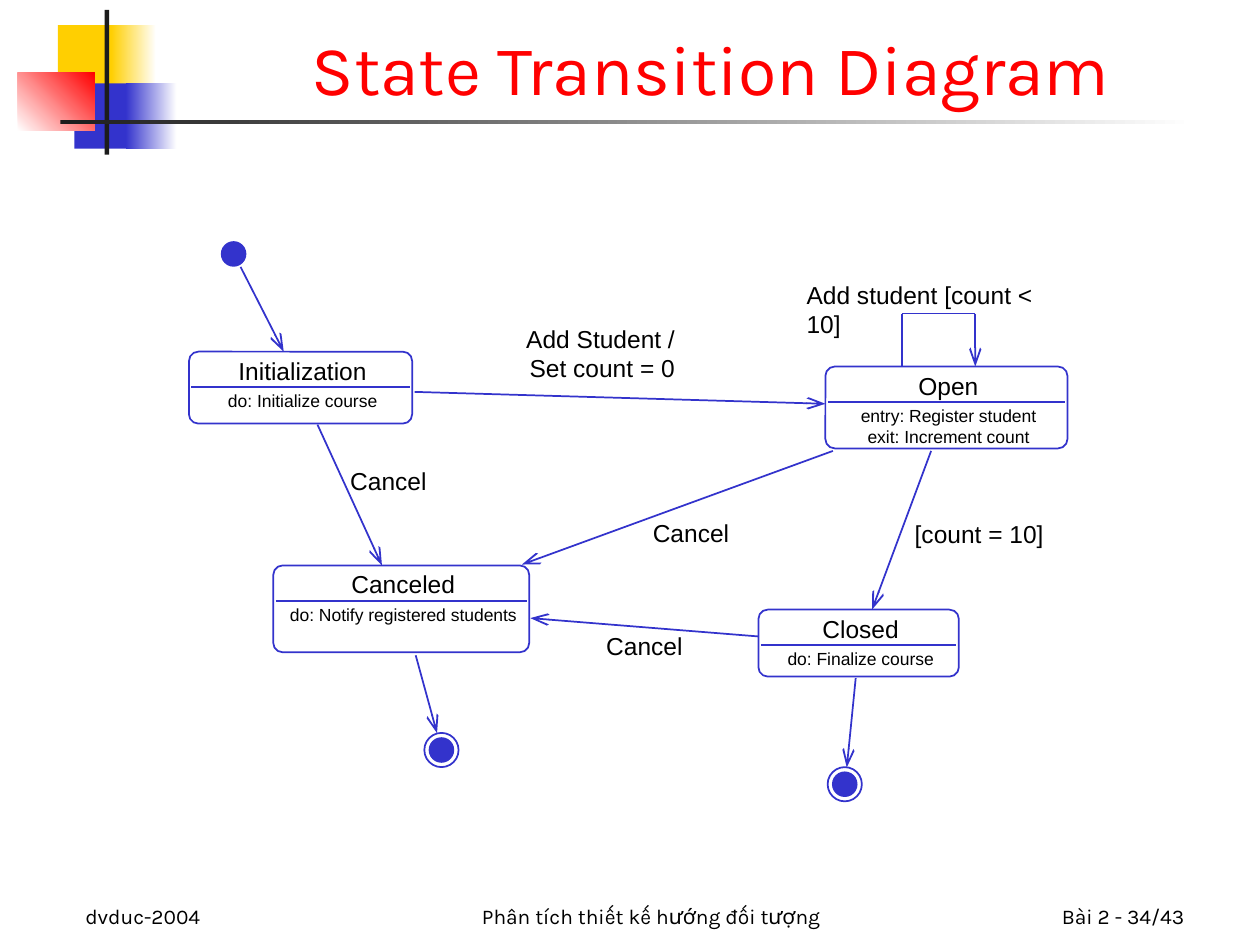
from dataclasses import dataclass

from lxml import etree
from pptx import Presentation
from pptx.dml.color import RGBColor
from pptx.enum.shapes import MSO_CONNECTOR, MSO_SHAPE
from pptx.enum.text import MSO_ANCHOR, MSO_AUTO_SIZE, PP_ALIGN
from pptx.oxml.ns import qn
from pptx.util import Cm, Pt

RECTANGLE = MSO_SHAPE.RECTANGLE
ROUNDED = MSO_SHAPE.ROUNDED_RECTANGLE
OVAL = MSO_SHAPE.OVAL
STRAIGHT = MSO_CONNECTOR.STRAIGHT
LEFT, CENTER, RIGHT = PP_ALIGN.LEFT, PP_ALIGN.CENTER, PP_ALIGN.RIGHT
TOP, BOTTOM = MSO_ANCHOR.TOP, MSO_ANCHOR.BOTTOM
NO_AUTOSIZE = MSO_AUTO_SIZE.NONE
TITLE_ONLY = 5


@dataclass(frozen=True)
class Theme:
    text: RGBColor = RGBColor(0, 0, 0)
    title: RGBColor = RGBColor(0xFF, 0, 0)
    white: RGBColor = RGBColor(0xFF, 0xFF, 0xFF)
    yellow: RGBColor = RGBColor(0xFF, 0xCF, 0x01)
    blue: RGBColor = RGBColor(0x33, 0x33, 0xCC)
    red: RGBColor = RGBColor(0xFF, 0, 0)
    dark: RGBColor = RGBColor(0x1C, 0x1C, 0x1C)
    heading_font: str = "Karla"
    diagram_font: str = "Arial"
    title_size: int = 40
    footer_size: int = 12
    label_size: int = 14
    activity_size: int = 10


THEME = Theme()
NO_MARGINS = dict(margin_left=0, margin_top=0, margin_right=0, margin_bottom=0)
CORNER_RADIUS = 0.19
DOT_DIAMETER, RING_DIAMETER = 0.48, 0.69

ORNAMENTS = [
    ((1.17, 0.51, 1.22, 1.32), [THEME.yellow], 0),
    ((2.24, 0.51, 0.91, 1.32), [THEME.yellow, THEME.white], 0),
    ((1.5, 1.68, 1.17, 1.32), [THEME.blue], 0),
    ((2.54, 1.68, 1.02, 1.32), [THEME.blue, THEME.white], 0),
    ((0.36, 1.47, 1.55, 1.17), [THEME.white, THEME.red], 45),
    ((2.11, 0.2, 0.09, 2.92), [THEME.dark], 0),
    ((1.22, 2.41, 22.86, 0.09), [THEME.dark, THEME.white], 0),
]
FOOTERS = [
    ("dvduc-2004", 1.47, 5.28, LEFT),
    ("Phân tích thiết kế hướng đối tượng", 8.26, 9.73, CENTER),
    ("Bài 2 - 34/43", 18.85, 5.28, RIGHT),
]
STATES = [
    ("Initialization", ["do: Initialize course"], (3.81, 7.09, 4.5, 1.45)),
    ("Open", ["entry: Register student", "exit: Increment count"],
     (16.64, 7.39, 4.88, 1.65)),
    ("Closed", ["do: Finalize course"], (15.29, 12.29, 4.04, 1.35)),
    ("Canceled", ["do: Notify registered students"], (5.51, 11.4, 5.16, 1.75)),
]
START = (4.71, 5.12)
ENDS = [(8.9, 15.12), (17.03, 15.81)]
TRANSITIONS = [
    (4.85, 5.38, 5.72, 7.09),
    (8.38, 13.21, 8.81, 14.78),
    (17.25, 13.67, 17.07, 15.47),
    (8.36, 7.9, 16.64, 8.14),
    (18.77, 9.09, 17.58, 12.29),
    (6.4, 8.56, 7.7, 11.4),
    (16.79, 9.09, 10.52, 11.38),
    (15.29, 12.83, 10.69, 12.46),
    (19.66, 6.32, 19.66, 7.39),
]
LOOP_LINES = [(18.19, 7.37, 18.19, 6.32), (18.19, 6.32, 19.66, 6.32)]
EVENTS = [
    (["Add Student /", "Set count = 0"], (10.46, 6.53, 3.15, 1.13), RIGHT),
    (["Add student [count < 10]"], (16.26, 5.64, 5.38, 0.58), LEFT),
    (["[count = 10]"], (18.44, 10.46, 2.62, 0.58), LEFT),
    (["Cancel"], (7.06, 9.4, 1.55, 0.58), LEFT),
    (["Cancel"], (13.16, 10.44, 1.55, 0.58), LEFT),
    (["Cancel"], (12.22, 12.73, 1.55, 0.58), LEFT),
]


def lengths(values):
    return [Cm(value) for value in values]


def apply(target, values):
    for name, value in values.items():
        setattr(target, name, value)


def write(box, lines, size, font, color, align, **frame_values):
    frame = box.text_frame
    apply(frame, dict(auto_size=NO_AUTOSIZE, word_wrap=True) | frame_values)
    for index, line in enumerate(lines):
        para = frame.add_paragraph() if index else frame.paragraphs[0]
        para.alignment = align
        span = para.add_run()
        span.text = line
        apply(span.font, dict(name=font, size=Pt(size), bold=False))
        span.font.color.rgb = color


def add_label(page, lines, area, size, align):
    box = page.shapes.add_textbox(*lengths(area))
    write(box, lines, size, THEME.diagram_font, THEME.text, align,
          vertical_anchor=TOP, **NO_MARGINS)


def add_title(page, text):
    title = page.shapes.title
    apply(title, dict(zip(("left", "top", "width", "height"),
                          lengths((3.81, 0.2, 21.03, 2.13)))))
    write(title, [text], THEME.title_size, THEME.heading_font, THEME.title,
          CENTER, vertical_anchor=BOTTOM)


def add_footer(page, text, left, width, align):
    box = page.shapes.add_textbox(*lengths((left, 17.58, width, 1.27)))
    write(box, [text], THEME.footer_size, THEME.heading_font, THEME.text,
          align, vertical_anchor=BOTTOM)


def add_ornament(page, area, colors, angle):
    shape = page.shapes.add_shape(RECTANGLE, *lengths(area))
    shape.shadow.inherit = False
    shape.line.fill.background()
    if len(colors) == 1:
        shape.fill.solid()
        shape.fill.fore_color.rgb = colors[0]
        return
    shape.fill.gradient()
    shape.fill.gradient_angle = angle
    for stop, color, position in zip(shape.fill.gradient_stops, colors, (0, 1)):
        stop.color.rgb = color
        stop.position = position


def add_outline(page, kind, area, filled=False):
    shape = page.shapes.add_shape(kind, *lengths(area))
    shape.shadow.inherit = False
    shape.line.color.rgb = THEME.blue
    shape.line.width = Pt(1)
    if filled:
        shape.fill.solid()
        shape.fill.fore_color.rgb = THEME.blue
    else:
        shape.fill.background()
    return shape


def add_circle(page, center, diameter, filled):
    left, top = (value - diameter / 2 for value in center)
    add_outline(page, OVAL, (left, top, diameter, diameter), filled)


def add_line(page, ends, arrow=False):
    line = page.shapes.add_connector(STRAIGHT, *lengths(ends))
    line.line.color.rgb = THEME.blue
    line.line.width = Pt(1)
    if arrow:
        etree.SubElement(line.line._get_or_add_ln(), qn("a:tailEnd"),
                         type="arrow", w="med", len="lg")
    etree.SubElement(line._element.spPr, qn("a:effectLst"))


def add_state(page, name, activities, area):
    left, top, width, height = area
    frame = add_outline(page, ROUNDED, area)
    frame.adjustments[0] = CORNER_RADIUS / height
    divider = top + 0.71
    add_line(page, (left + 0.05, divider, left + width - 0.05, divider))
    text_left = left + 0.04
    add_label(page, [name], (text_left, top + 0.08, width, 0.58),
              THEME.label_size, CENTER)
    add_label(page, activities,
              (text_left, top + 0.77, width, 0.43 * len(activities)),
              THEME.activity_size, CENTER)


def main():
    deck = Presentation()
    deck.slide_width, deck.slide_height = Cm(25.4), Cm(19.05)
    page = deck.slides.add_slide(deck.slide_layouts[TITLE_ONLY])
    for ornament in ORNAMENTS:
        add_ornament(page, *ornament)
    add_title(page, "State Transition Diagram")
    for footer in FOOTERS:
        add_footer(page, *footer)
    for state in STATES:
        add_state(page, *state)
    add_circle(page, START, DOT_DIAMETER, True)
    for center in ENDS:
        add_circle(page, center, RING_DIAMETER, False)
        add_circle(page, center, DOT_DIAMETER, True)
    for ends in TRANSITIONS:
        add_line(page, ends, arrow=True)
    for ends in LOOP_LINES:
        add_line(page, ends)
    for lines, area, align in EVENTS:
        add_label(page, lines, area, THEME.label_size, align)
    deck.save("out.pptx")


if __name__ == "__main__":
    main()
